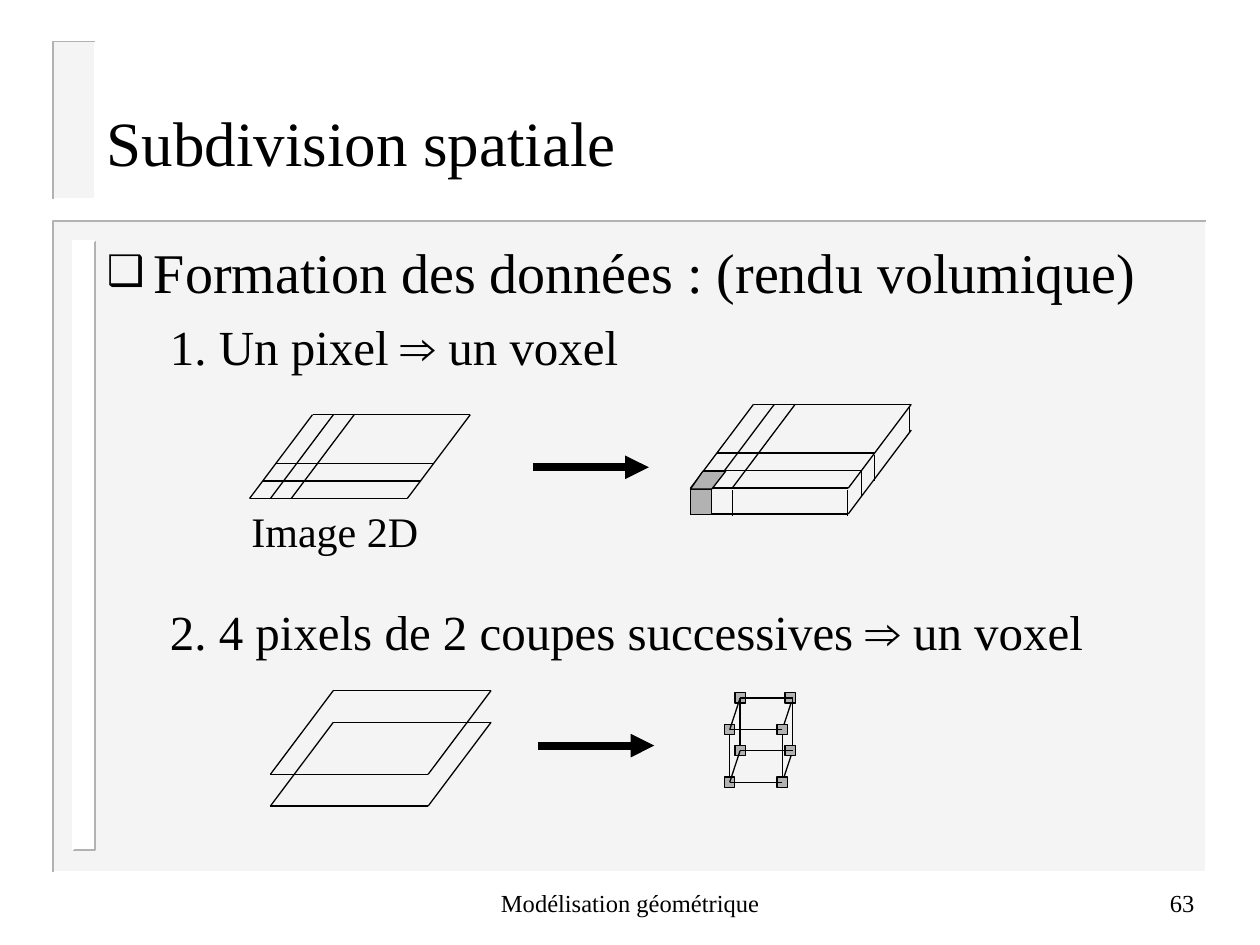
"""Build the slide on spatial subdivision and voxel formation."""
from dataclasses import dataclass
from typing import NamedTuple

from lxml.etree import SubElement
from pptx import Presentation
from pptx.dml.color import RGBColor
from pptx.enum.shapes import MSO_CONNECTOR as Connector, MSO_SHAPE as Preset
from pptx.enum.text import MSO_ANCHOR as Anchor, MSO_AUTO_SIZE as AutoSize, PP_ALIGN as Align
from pptx.oxml.ns import qn
from pptx.shapes.autoshape import Shape
from pptx.shapes.connector import Connector as Line
from pptx.shapes.shapetree import _BaseGroupShapes as Shapes
from pptx.text.text import _Paragraph as Para
from pptx.util import Cm, Pt

COLORS = {"ink": "000000", "panel": "EAEAEA", "gray": "B2B2B2", "white": "FFFFFF"}
SERIF, SANS = "Times New Roman", "Arial"
SHEET_WIDTH, SHEET_SLANT, SHEET_RISE = 3.18, 1.27, 1.69
SLAB_DEPTH, CUBE_DROP, KNOT = 0.52, 1.06, 0.21


class Point(NamedTuple):
    x: float
    y: float


@dataclass
class Panel:
    left: float
    top: float
    width: float
    height: float
    fill: str
    upper_edge: str
    lower_edge: str
    opacity: int = 100


@dataclass
class Sheet:
    left: float
    bottom: float
    rows: tuple[float, ...] = ()
    columns: tuple[float, ...] = ()


@dataclass
class Label:
    text: str
    left: float
    top: float
    width: float
    size: int
    align: Align = Align.LEFT
    anchor: Anchor = Anchor.MIDDLE


@dataclass
class Item:
    texts: tuple[str, ...]
    size: int
    level: int
    space: float
    margin: float
    indent: float
    bullet: str = ""


PANELS = [
    Panel(1.07, 4.45, 23.24, 13.13, "panel", "gray", "white", 50),
    Panel(1.48, 4.86, 0.43, 12.27, "white", "white", "gray"),
    Panel(1.07, 0.84, 0.84, 3.18, "panel", "gray", "white", 50),
]
GRID = {"rows": (0.21, 0.42), "columns": (0.42, 0.84)}
IMAGE, SLAB = Sheet(5.03, 10.05, **GRID), Sheet(13.92, 9.84, **GRID)
SLICES = [Sheet(5.45, 16.25), Sheet(5.45, 15.61)]
SLAB_POSTS = [Point(13.92, 9.86), Point(14.35, 9.86), Point(14.76, 9.88), Point(18.34, 8.18),
              Point(17.09, 9.88), Point(17.37, 9.5), Point(17.63, 9.17)]
ARROWS = [Point(10.74, 9.42), Point(10.85, 15.03)]
LABELS = [
    Label("Modélisation géométrique", 8.68, 17.56, 8.05, 14, Align.CENTER),
    Label("63", 19.05, 17.56, 5.28, 14, Align.RIGHT),
    Label("Image 2D", 4.82, 10.06, 4.5, 24, anchor=Anchor.TOP),
]
ITEMS = [
    Item(("Formation des données : (rendu volumique)",), 32, 0, 0, 0.95, -0.95, "❑"),
    Item(("1. Un pixel ", "⇒", " un voxel"), 28, 1, 7, 2.06, -0.79),
    Item(("2. 4 pixels de 2 coupes successives ", "⇒", " un voxel"), 28, 1, 129, 2.06, -0.79),
]


def color(name: str) -> RGBColor:
    return RGBColor.from_string(COLORS[name])


def apply(target: object, values: dict) -> None:
    for name, value in values.items():
        setattr(target, name, value)


def paint(shape: Shape, fill: str | None, line: str | None, weight: float = 0.75) -> Shape:
    shape.shadow.inherit = False
    if fill:
        shape.fill.solid()
        shape.fill.fore_color.rgb = color(fill)
    else:
        shape.fill.background()
    if line:
        shape.line.color.rgb = color(line)
        shape.line.width = Pt(weight)
    else:
        shape.line.fill.background()
    return shape


def draw_rect(shapes: Shapes, left: float, top: float, width: float, height: float,
              fill: str, line: str | None = None) -> Shape:
    box = shapes.add_shape(Preset.RECTANGLE, Cm(left), Cm(top), Cm(width), Cm(height))
    return paint(box, fill, line)


def draw_outline(shapes: Shapes, points: list[Point], close: bool) -> Shape:
    start, *others = [(Cm(point.x), Cm(point.y)) for point in points]
    builder = shapes.build_freeform(*start, scale=1.0)
    builder.add_line_segments(others, close=close)
    return builder.convert_to_shape()


def draw_line(shapes: Shapes, start: Point, end: Point, weight: float = 0.75,
              arrow: bool = False) -> Line:
    line = shapes.add_connector(Connector.STRAIGHT, Cm(start.x), Cm(start.y), Cm(end.x), Cm(end.y))
    line.line.color.rgb = color("ink")
    line.line.width = Pt(weight)
    if arrow:
        SubElement(line.line._get_or_add_ln(), qn("a:tailEnd"), type="triangle")
    SubElement(line._element.spPr, qn("a:effectLst"))
    return line


def draw_panel(shapes: Shapes, panel: Panel) -> None:
    box = draw_rect(shapes, panel.left, panel.top, panel.width, panel.height, panel.fill)
    if panel.opacity < 100:
        tint = box._element.spPr.find(f"{qn('a:solidFill')}/{qn('a:srgbClr')}")
        SubElement(tint, qn("a:alpha"), val=str(panel.opacity * 1000))
    right, bottom = panel.left + panel.width, panel.top + panel.height
    corners = [(Point(right, bottom), panel.lower_edge), (Point(panel.left, panel.top), panel.upper_edge)]
    for corner, edge in corners:
        points = [Point(right, panel.top), corner, Point(panel.left, bottom)]
        paint(draw_outline(shapes, points, False), None, edge, 1)


def draw_sheet(shapes: Shapes, sheet: Sheet) -> None:
    for share in (1, 0, *sheet.rows):
        start = Point(sheet.left + share * SHEET_SLANT, sheet.bottom - share * SHEET_RISE)
        draw_line(shapes, start, Point(start.x + SHEET_WIDTH, start.y))
    for offset in (0, SHEET_WIDTH, *sheet.columns):
        start = Point(sheet.left + offset, sheet.bottom)
        draw_line(shapes, start, Point(start.x + SHEET_SLANT, start.y - SHEET_RISE))


def draw_slab(shapes: Shapes) -> None:
    draw_sheet(shapes, SLAB)
    base = SLAB.bottom + SLAB_DEPTH
    corner = Point(SLAB.left + SHEET_WIDTH, base)
    draw_line(shapes, Point(SLAB.left, base), corner)
    draw_line(shapes, corner, Point(corner.x + SHEET_SLANT, base - SHEET_RISE))
    draw_rect(shapes, 13.92, 9.86, 0.43, SLAB_DEPTH, "gray", "ink")
    lid = [Point(13.92, 9.86), Point(14.17, 9.5), Point(14.63, 9.5), Point(14.35, 9.86)]
    paint(draw_outline(shapes, lid, True), "gray", "ink")
    for post in SLAB_POSTS:
        draw_line(shapes, post, Point(post.x, post.y + SLAB_DEPTH))


def draw_cube_layer(shapes: Shapes, back: float) -> list[Shape]:
    front = back + 0.64
    back_left, back_right = Point(14.92, back), Point(15.98, back)
    front_left, front_right = Point(14.71, front), Point(15.77, front)
    draw_line(shapes, back_right, front_right)
    centers = [back_left, Point(15.93, back), front_left, front_right]
    knots = [draw_rect(shapes, center.x - KNOT / 2, center.y - KNOT / 2, KNOT, KNOT, "gray", "ink")
             for center in centers]
    for start, end in [(back_left, back_right), (front_left, front_right), (back_left, front_left)]:
        draw_line(shapes, start, end)
    return knots[2:]


def draw_cube(shapes: Shapes, top: float) -> None:
    upper = draw_cube_layer(shapes, top)
    posts = [draw_line(shapes, Point(x, top + 0.74), Point(x, top + 0.74 + CUBE_DROP))
             for x in (14.71, 15.77)]
    for x in (14.92, 15.98):
        draw_line(shapes, Point(x, top), Point(x, top + CUBE_DROP))
    lower = draw_cube_layer(shapes, top + CUBE_DROP)
    for post, high, low in zip(posts, upper, lower):
        post.begin_connect(high, 2)
        post.end_connect(low, 2)


def write(para: Para, text: str, size: int) -> None:
    span = para.add_run()
    span.text = text
    apply(span.font, {"size": Pt(size), "name": SANS if text == "⇒" else SERIF})
    span.font.color.rgb = color("ink")


def write_item(para: Para, item: Item) -> None:
    apply(para, {"level": item.level, "space_before": Pt(item.space), "alignment": Align.LEFT})
    properties = para._p.get_or_add_pPr()
    properties.set("marL", str(Cm(item.margin)))
    properties.set("indent", str(Cm(item.indent)))
    if item.bullet:
        tint = SubElement(properties, qn("a:buClr"))
        SubElement(tint, qn("a:srgbClr"), val=COLORS["ink"])
        SubElement(properties, qn("a:buSzPct"), val="75000")
        SubElement(properties, qn("a:buChar"), char=item.bullet)
    else:
        SubElement(properties, qn("a:buNone"))
    for text in item.texts:
        write(para, text, item.size)


def draw_label(shapes: Shapes, label: Label) -> None:
    box = shapes.add_textbox(Cm(label.left), Cm(label.top), Cm(label.width), Cm(1.27))
    frame = box.text_frame
    apply(frame, {"word_wrap": True, "vertical_anchor": label.anchor})
    frame.paragraphs[0].alignment = label.align
    write(frame.paragraphs[0], label.text, label.size)


def main() -> None:
    deck = Presentation()
    apply(deck, {"slide_width": Cm(25.4), "slide_height": Cm(19.05)})
    page = deck.slides.add_slide(deck.slide_layouts[1])
    shapes = page.shapes
    title, body = shapes.title, page.placeholders[1]
    apply(title, {"left": Cm(1.9), "top": Cm(1.48), "width": Cm(22.23), "height": Cm(2.75)})
    apply(body, {"left": Cm(1.9), "top": Cm(4.66), "width": Cm(22.33), "height": Cm(12.49)})
    for holder, anchor in ((title, Anchor.MIDDLE), (body, Anchor.TOP)):
        values = {"word_wrap": True, "auto_size": AutoSize.NONE, "vertical_anchor": anchor}
        apply(holder.text_frame, values)
    heading = title.text_frame.paragraphs[0]
    heading.alignment = Align.LEFT
    write(heading, "Subdivision spatiale", 36)
    for index, item in enumerate(ITEMS):
        write_item(body.text_frame.add_paragraph() if index else body.text_frame.paragraphs[0], item)

    backdrop = shapes.add_group_shape()
    for panel in PANELS:
        draw_panel(backdrop.shapes, panel)
    shapes._spTree.remove(backdrop._element)
    shapes._spTree.insert(2, backdrop._element)

    for sheet in (IMAGE, *SLICES):
        draw_sheet(shapes.add_group_shape().shapes, sheet)
    draw_slab(shapes.add_group_shape().shapes)
    draw_cube(shapes.add_group_shape().shapes, 14.07)
    for start in ARROWS:
        draw_line(shapes, start, Point(start.x + 2.34, start.y), 4.5, True)
    for label in LABELS:
        draw_label(shapes, label)
    deck.save("out.pptx")


if __name__ == "__main__":
    main()
